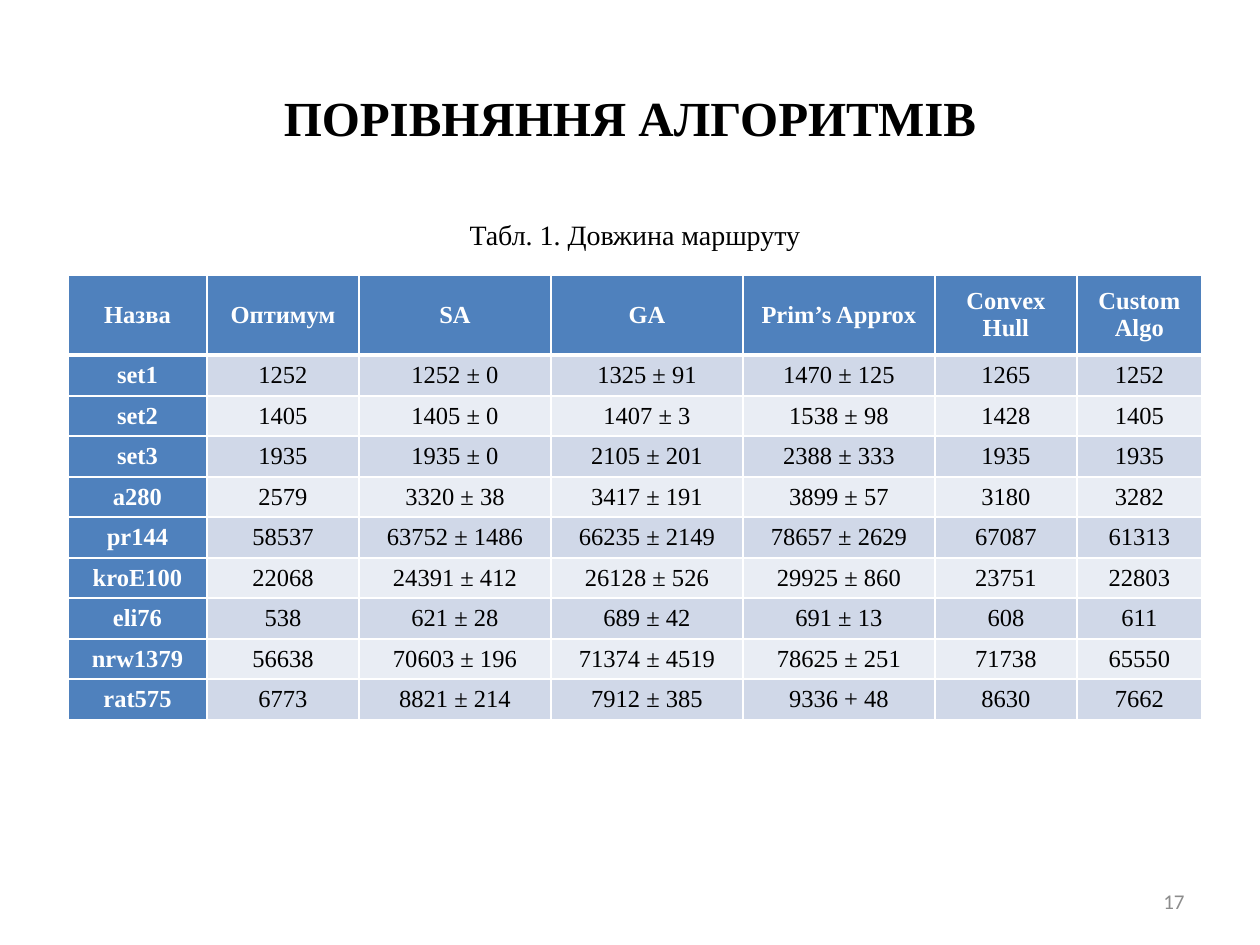
"""Build a slide with a table that compares route lengths by algorithm."""
from lxml import etree
from pptx import Presentation
from pptx.dml.color import RGBColor
from pptx.enum.text import MSO_ANCHOR, PP_ALIGN
from pptx.oxml.ns import qn
from pptx.util import Pt

MIDDLE = MSO_ANCHOR.MIDDLE
CENTER, RIGHT = PP_ALIGN.CENTER, PP_ALIGN.RIGHT
PX = 914400 // 126
SERIF, SANS = "Times New Roman", "Calibri"
COLORS = {
    "head": "4F81BD",
    "dark": "D0D8E8",
    "light": "E9EDF4",
    "white": "FFFFFF",
    "black": "000000",
    "gray": "8C8C8C",
}
COLS = [139, 152, 192, 192, 192, 142, 125]
ROWS = [80] + [41, 40] * 4 + [41]
DATA = [
    ["Назва", "Оптимум", "SA", "GA", "Prim’s Approx", "Convex Hull", "Custom Algo"],
    ["set1", "1252", "1252 ± 0", "1325 ± 91", "1470 ± 125", "1265", "1252"],
    ["set2", "1405", "1405 ± 0", "1407 ± 3", "1538 ± 98", "1428", "1405"],
    ["set3", "1935", "1935 ± 0", "2105 ± 201", "2388 ± 333", "1935", "1935"],
    ["a280", "2579", "3320 ± 38", "3417 ± 191", "3899 ± 57", "3180", "3282"],
    ["pr144", "58537", "63752 ± 1486", "66235 ± 2149", "78657 ± 2629", "67087", "61313"],
    ["kroE100", "22068", "24391 ± 412", "26128 ± 526", "29925 ± 860", "23751", "22803"],
    ["eli76", "538", "621 ± 28", "689 ± 42", "691 ± 13", "608", "611"],
    ["nrw1379", "56638", "70603 ± 196", "71374 ± 4519", "78625 ± 251", "71738", "65550"],
    ["rat575", "6773", "8821 ± 214", "7912 ± 385", "9336 + 48", "8630", "7662"],
]


def write(frame, text, size, color, face=SERIF, bold=False, align=CENTER):
    """Add one formatted run to a text frame."""
    frame.word_wrap = True
    para = frame.paragraphs[0]
    para.alignment = align
    run = para.add_run()
    run.text = text
    run.font.size = Pt(size)
    run.font.name = face
    run.font.bold = bold
    run.font.color.rgb = RGBColor.from_string(COLORS[color])


def border(cell, side, width):
    """Add a white border to one side of a cell, ahead of its fill."""
    line = etree.Element(qn("a:" + side), w=str(Pt(width)))
    fill = etree.SubElement(line, qn("a:solidFill"))
    etree.SubElement(fill, qn("a:srgbClr"), val=COLORS["white"])
    props = cell._tc.get_or_add_tcPr()
    props.insert(len(props) - 1, line)


deck = Presentation()
deck.slide_width, deck.slide_height = 1260 * PX, 945 * PX
slide = deck.slides.add_slide(deck.slide_layouts[5])

title = slide.shapes.title
title.left, title.top, title.width, title.height = 63 * PX, 38 * PX, 1134 * PX, 158 * PX
title.text_frame.vertical_anchor = MIDDLE
write(title.text_frame, "ПОРІВНЯННЯ АЛГОРИТМІВ", 28, "black", bold=True)

number = slide.shapes.add_textbox(903 * PX, 876 * PX, 294 * PX, 50 * PX)
number.text_frame.vertical_anchor = MIDDLE
write(number.text_frame, "17", 12, "gray", face=SANS, align=RIGHT)

holder = slide.shapes.add_table(
    len(ROWS), len(COLS), 68 * PX, 275 * PX, sum(COLS) * PX, sum(ROWS) * PX
)
table = holder.table
table.first_col = True
for col, width in zip(table.columns, COLS):
    col.width = width * PX
for row, height in zip(table.rows, ROWS):
    row.height = height * PX

for r, values in enumerate(DATA):
    for c, value in enumerate(values):
        cell = table.cell(r, c)
        cell.vertical_anchor = MIDDLE
        cell.margin_left = cell.margin_right = 9 * PX
        cell.margin_top = cell.margin_bottom = 0
        head = r == 0 or c == 0
        shade = "head" if head else "dark" if r % 2 else "light"
        cell.fill.solid()
        cell.fill.fore_color.rgb = RGBColor.from_string(COLORS[shade])
        for side in ("lnL", "lnR", "lnT", "lnB"):
            thick = (r == 0 and side == "lnB") or (r == 1 and side == "lnT")
            border(cell, side, 3 if thick else 1)
        write(cell.text_frame, value, 14, "white" if head else "black", bold=head)

caption = slide.shapes.add_textbox(444 * PX, 205 * PX, 382 * PX, 59 * PX)
caption.text_frame.vertical_anchor = MIDDLE
write(caption.text_frame, "Табл. 1. Довжина маршруту", 16, "black")

deck.save("out.pptx")
